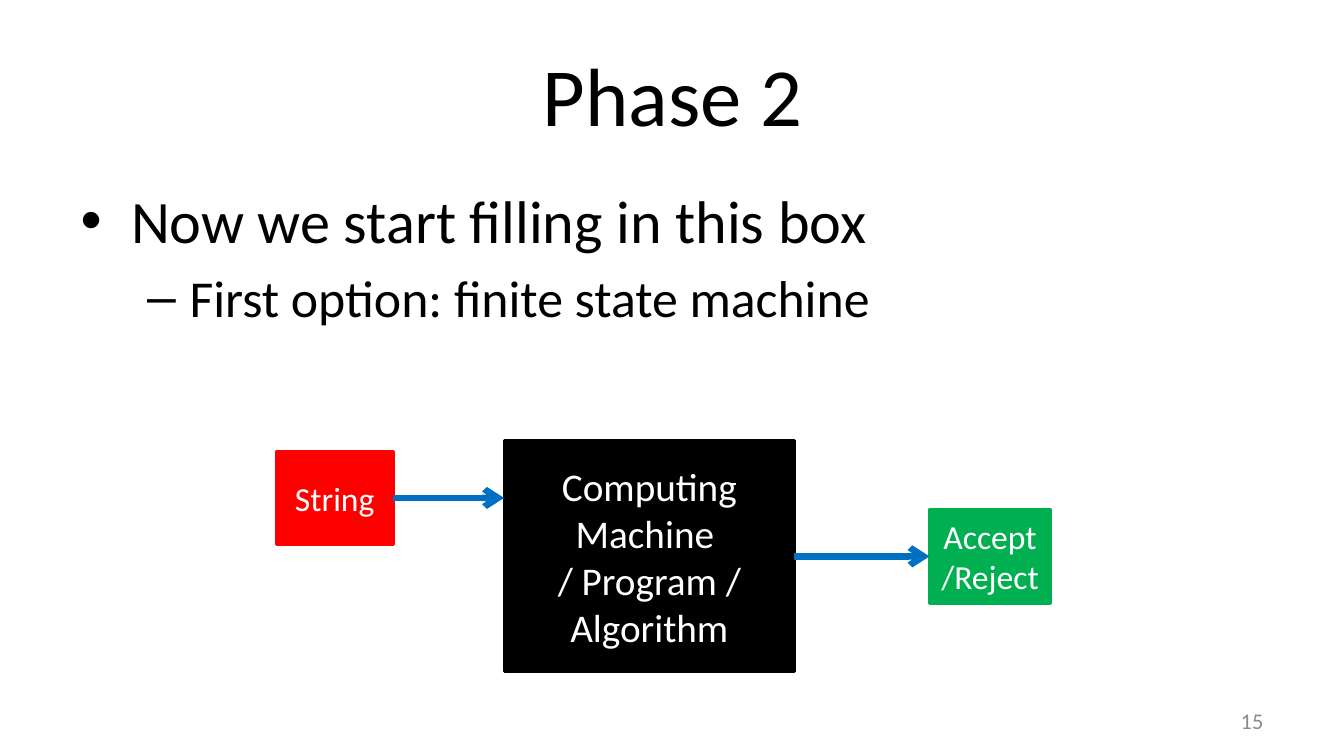
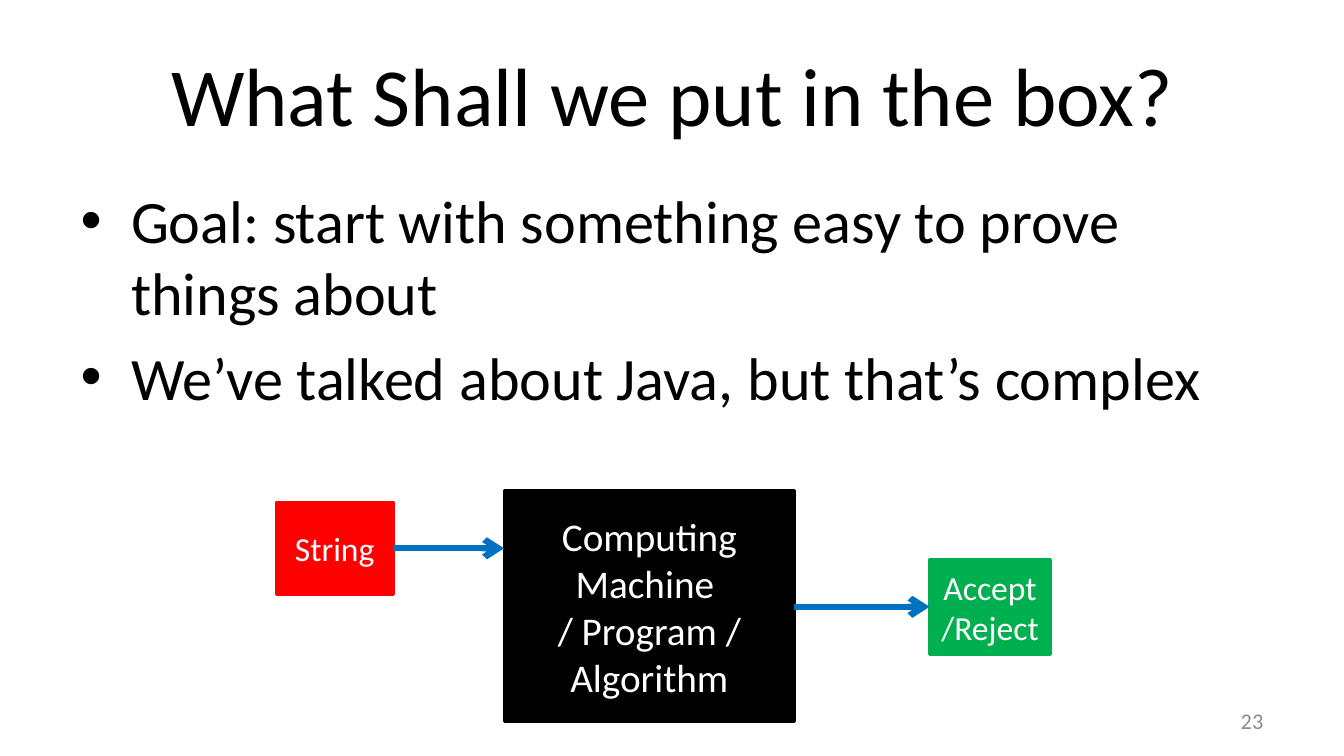
"""Build two slides that lead from a machine diagram to finite state machines."""
from dataclasses import dataclass

from lxml import etree
from pptx import Presentation
from pptx.dml.color import RGBColor
from pptx.enum.shapes import MSO_CONNECTOR, MSO_SHAPE
from pptx.enum.text import MSO_ANCHOR, PP_ALIGN
from pptx.oxml.ns import qn
from pptx.util import Pt

PX = 9144
LEFT, CENTER, RIGHT = PP_ALIGN.LEFT, PP_ALIGN.CENTER, PP_ALIGN.RIGHT
TOP, MIDDLE = MSO_ANCHOR.TOP, MSO_ANCHOR.MIDDLE
RECTANGLE = MSO_SHAPE.RECTANGLE
STRAIGHT = MSO_CONNECTOR.STRAIGHT


@dataclass(frozen=True)
class Theme:
    font: str = "Calibri"
    ink: str = "000000"
    paper: str = "FFFFFF"
    muted: str = "8C8C8C"
    source: str = "FF0000"
    result: str = "00B050"
    arrow: str = "0070C0"
    title_size: int = 59
    body_sizes: tuple = (43, 37)
    machine_size: int = 28
    label_size: int = 24
    number_size: int = 16
    outline: float = 2
    arrow_width: float = 4.5


theme = Theme()
BULLETS = (("•", 50, 50), ("–", 108, 42))
NODES = (
    (500, 0, 288, 229, theme.ink, theme.machine_size,
     ("Computing Machine ", "/ Program / Algorithm")),
    (274, 11, 116, 92, theme.source, theme.label_size, ("String",)),
    (922, 68, 120, 94, theme.result, theme.label_size, ("Accept/Reject",)),
)
ARROWS = ((390, 500, 57), (788, 922, 115))
SLIDES = (
    ("Phase 2", "15", 437,
     ((0, "Now we start filling in this box"),
      (1, "First option: finite state machine"))),
    ("What Shall we put in the box?", "23", 487,
     ((0, "Goal: start with something easy to prove things about"),
      (0, "We’ve talked about Java, but that’s complex"))),
)


def write(box, lines, size, color, align, anchor):
    """Fill a shape with one paragraph per line."""
    frame = box.text_frame
    frame.word_wrap = True
    frame.vertical_anchor = anchor
    for index, line in enumerate(lines):
        para = frame.add_paragraph() if index else frame.paragraphs[0]
        para.text = line
        para.alignment = align
        para.font.name = theme.font
        para.font.size = Pt(size)
        para.font.color.rgb = RGBColor.from_string(color)
    return frame.paragraphs


def add_text(page, bounds, lines, size, color, align, anchor):
    """Add a text box with the shared insets."""
    box = page.shapes.add_textbox(*(value * PX for value in bounds))
    frame = box.text_frame
    frame.margin_left = frame.margin_right = 13 * PX
    frame.margin_top = frame.margin_bottom = 7 * PX
    return write(box, lines, size, color, align, anchor)


deck = Presentation()
deck.slide_width = 1333 * PX
deck.slide_height = 750 * PX

for title, number, diagram_top, points in SLIDES:
    page = deck.slides.add_slide(deck.slide_layouts[6])
    add_text(page, (67, 30, 1200, 125), (title,), theme.title_size,
             theme.ink, CENTER, MIDDLE)

    paras = add_text(page, (67, 175, 1200, 495), [text for _, text in points],
                     theme.body_sizes[0], theme.ink, LEFT, TOP)
    for para, (level, _) in zip(paras, points):
        mark, margin, hanging = BULLETS[level]
        size = theme.body_sizes[level]
        para.level = level
        para.font.size = Pt(size)
        para.space_before = Pt(size * 0.2)
        properties = para._p.get_or_add_pPr()
        properties.set("marL", str(margin * PX))
        properties.set("indent", str(-hanging * PX))
        bullet_font = etree.Element(qn("a:buFont"), typeface="Arial")
        bullet = etree.Element(qn("a:buChar"), char=mark)
        properties.find(qn("a:defRPr")).addprevious(bullet_font)
        bullet_font.addnext(bullet)

    add_text(page, (955, 695, 311, 40), (number,), theme.number_size,
             theme.muted, RIGHT, MIDDLE)

    for left, offset, width, height, color, size, lines in NODES:
        node = page.shapes.add_shape(RECTANGLE, left * PX, (diagram_top + offset) * PX,
                                     width * PX, height * PX)
        node.shadow.inherit = False
        node.fill.solid()
        node.fill.fore_color.rgb = RGBColor.from_string(color)
        node.line.color.rgb = RGBColor.from_string(color)
        node.line.width = Pt(theme.outline)
        write(node, lines, size, theme.paper, CENTER, MIDDLE)

    for start, end, offset in ARROWS:
        height = (diagram_top + offset) * PX
        arrow = page.shapes.add_connector(STRAIGHT, start * PX, height, end * PX, height)
        arrow.line.color.rgb = RGBColor.from_string(theme.arrow)
        arrow.line.width = Pt(theme.arrow_width)
        etree.SubElement(arrow.line._get_or_add_ln(), qn("a:tailEnd"), type="arrow")
        etree.SubElement(arrow._element.spPr, qn("a:effectLst"))

deck.save("out.pptx")
